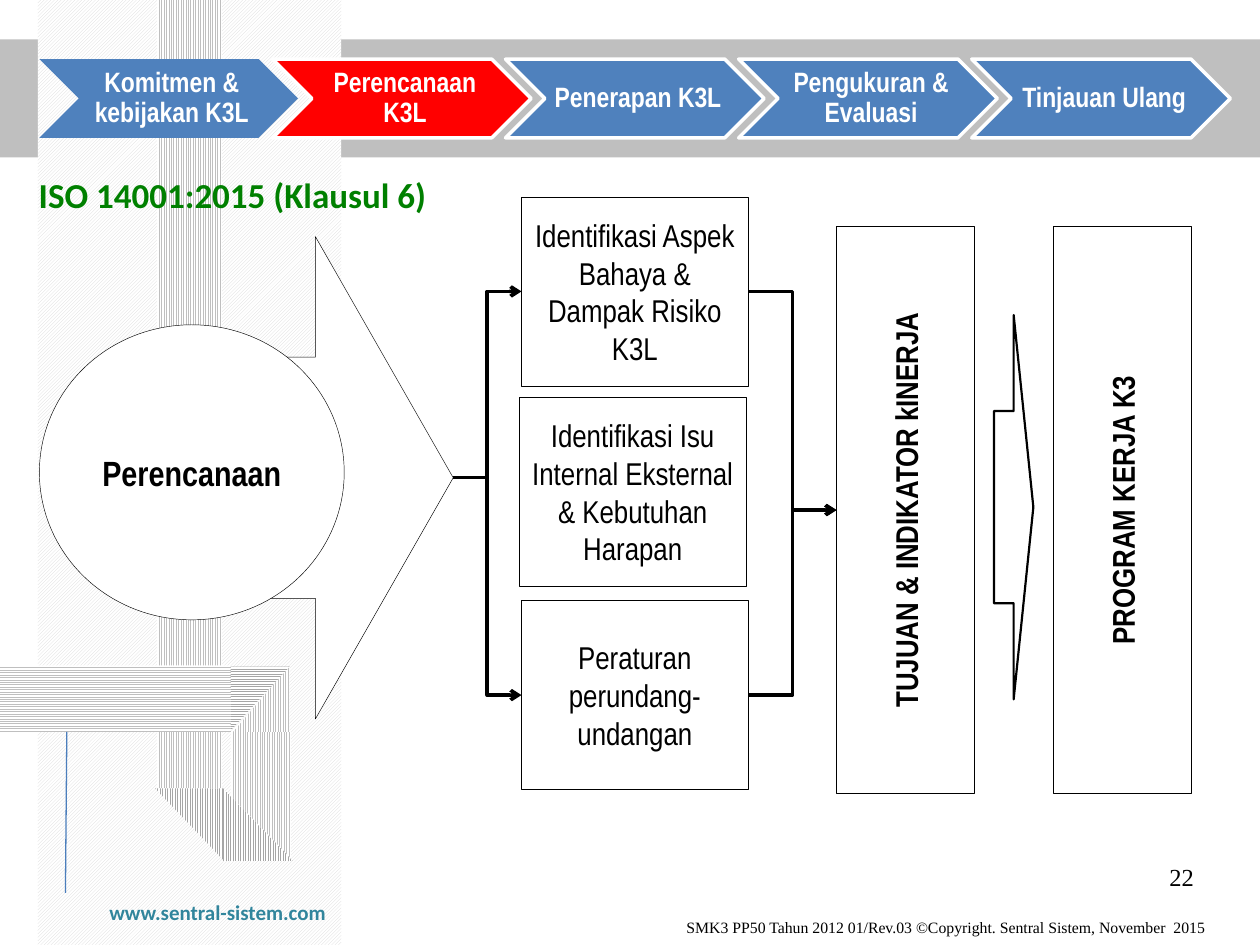
from lxml import etree
from pptx import Presentation
from pptx.dml.color import RGBColor
from pptx.enum import dml, shapes, text
from pptx.oxml.ns import qn
from pptx.util import Pt

C = {"black": "000000", "white": "FFFFFF", "blue": "4F81BD", "red": "FF0000",
     "rule": "4B7EBC", "teal": "31859C", "green": "008000",
     "pale": "D9D9D9", "mid": "BFBFBF", "dark": "A6A6A6"}
rgb = {name: RGBColor.from_string(value) for name, value in C.items()}
M, P, A = shapes.MSO_SHAPE, dml.MSO_PATTERN, text.PP_ALIGN

prs = Presentation()
prs.slide_width, prs.slide_height = Pt(720), Pt(540)
slide = prs.slides.add_slide(prs.slide_layouts[6])


def add_box(kind, box, fill=None, line=None, width=0.25):
    s = slide.shapes.add_shape(kind, *[Pt(v) for v in box])
    s.shadow.inherit = False
    if fill:
        s.fill.solid()
        s.fill.fore_color.rgb = rgb[fill]
    else:
        s.fill.background()
    if line:
        s.line.color.rgb = rgb[line]
        s.line.width = Pt(width)
    else:
        s.line.fill.background()
    return s


def write(s, words, size, font="Arial Narrow", color="black", bold=False, align=A.CENTER):
    tf = s.text_frame
    tf.text = words
    tf.word_wrap = True
    p = tf.paragraphs[0]
    p.alignment = align
    r = p.runs[0]
    r.font.size, r.font.name, r.font.bold = Pt(size), font, bold
    r.font.color.rgb = rgb[color]
    return tf


band = add_box(M.RECTANGLE, (0, 22.5, 720, 67.5), "black")
clr = band.fill._xPr.find(qn("a:solidFill"))[0]
etree.SubElement(clr, qn("a:alpha")).set("val", "25000")

diagonal, vertical, horizontal = P.LIGHT_UPWARD_DIAGONAL, P.NARROW_VERTICAL, P.NARROW_HORIZONTAL
ribbons = [
    (M.RECTANGLE, (21.6, 0, 173.4, 540), diagonal, "pale", "", 0),
    (M.RECTANGLE, (89.6, 0, 37.2, 450.5), vertical, "mid", "", 0),
    (M.RIGHT_TRIANGLE, (88.6, 450.5, 39.5, 41.5), vertical, "dark", "HV", 0),
    (M.RECTANGLE, (131.8, 418.3, 34.5, 73.5), vertical, "mid", "", 0),
    (M.RIGHT_TRIANGLE, (127.5, 450.5, 40, 41.5), vertical, "dark", "", 0),
    (M.RIGHT_TRIANGLE, (133.2, 380.2, 32.4, 38.1), vertical, "mid", "H", 0),
    (M.RIGHT_TRIANGLE, (129.6, 382.3, 37.4, 34.6), horizontal, "dark", "", 90),
    (M.RECTANGLE, (0, 380.2, 131.8, 38.1), horizontal, "mid", "", 0),
]
for kind, box, pattern, color, flips, angle in ribbons:
    s = add_box(kind, box)
    s.fill.patterned()
    s.fill.pattern = pattern
    s.fill.fore_color.rgb = rgb[color]
    s.fill.back_color.rgb = rgb["white"]
    s.rotation = angle
    for flip in flips:
        s._element.spPr.find(qn("a:xfrm")).set("flip" + flip, "1")

steps = ["Komitmen & kebijakan K3L", "Perencanaan K3L", "Penerapan K3L",
         "Pengukuran & Evaluasi", "Tinjauan Ulang"]
for i, step in enumerate(steps):
    s = add_box(M.CHEVRON, (22.5 + 133.2 * i, 33.8, 147.8, 45),
                "red" if i == 1 else "blue", "white" if i else None, 2)
    tf = write(s, step, 16, color="white", bold=True)
    tf.vertical_anchor = text.MSO_ANCHOR.MIDDLE
    tf.margin_left = Pt(5)
    tf.margin_right = tf.margin_top = tf.margin_bottom = Pt(1.4)
    tf.paragraphs[0].line_spacing = 0.9

add_box(M.RIGHT_ARROW, (101.5, 135.2, 157.5, 275.6), "white", "black")
add_box(M.RIGHT_ARROW, (568, 180, 22.5, 219.6), None, "black", 1.25)

nodes = [
    (M.OVAL, (22.5, 185.6, 174.2, 168.6), "Perencanaan", 20, True, False),
    (M.RECTANGLE, (298, 112.6, 129.6, 108), "Identifikasi Aspek Bahaya & Dampak Risiko K3L", 18, False, False),
    (M.RECTANGLE, (296.8, 227, 129.6, 108), "Identifikasi Isu Internal Eksternal & Kebutuhan Harapan", 18, False, False),
    (M.RECTANGLE, (298, 343.2, 129.6, 108), "Peraturan perundang-undangan", 18, False, False),
    (M.RECTANGLE, (478, 129.5, 78.8, 324), "TUJUAN & INDIKATOR kINERJA", 18, True, True),
    (M.RECTANGLE, (602, 129.5, 78.8, 324), "PROGRAM KERJA K3", 18, True, True),
]
for kind, box, words, size, bold, upright in nodes:
    s = add_box(kind, box, "white", "black")
    tf = write(s, words, size, bold=bold)
    tf.vertical_anchor = text.MSO_ANCHOR.MIDDLE
    if upright:
        tf._txBody.bodyPr.set("vert", "vert270")

elbow, straight = shapes.MSO_CONNECTOR.ELBOW, shapes.MSO_CONNECTOR.STRAIGHT
links = [
    (elbow, (258.8, 273, 298, 166.6), "black", 2),
    (elbow, (258.8, 273, 298, 397.2), "black", 2),
    (elbow, (427.6, 166.6, 478, 291.5), "black", 2),
    (elbow, (427.6, 397.2, 478, 291.5), "black", 2),
    (straight, (37.4, 510.2, 38.2, 418.3), "rule", 0.75),
]
for kind, ends, color, width in links:
    s = slide.shapes.add_connector(kind, *[Pt(v) for v in ends])
    s.line.color.rgb = rgb[color]
    s.line.width = Pt(width)
    if kind == elbow:
        etree.SubElement(s.line._get_or_add_ln(), qn("a:tailEnd")).set("type", "arrow")
    etree.SubElement(s._element.spPr, qn("a:effectLst"))

top, middle = text.MSO_ANCHOR.TOP, text.MSO_ANCHOR.MIDDLE
labels = [
    ((0, 95.8, 266, 31.5), "ISO 14001:2015 (Klausul 6)", 20, "Calibri", "green", True, A.CENTER, top),
    ((55.4, 510.4, 139.7, 21.8), "www.sentral-sistem.com", 12, "Calibri", "teal", True, A.LEFT, top),
    ((371.5, 524.2, 324, 10.8), "SMK3 PP50 Tahun 2012 01/Rev.03 ©Copyright. Sentral Sistem, November  2015",
     9, "Times New Roman", "black", False, A.RIGHT, middle),
    ((655, 488.9, 40.5, 28.8), "22", 14, "Times New Roman", "black", False, A.CENTER, top),
]
for box, words, size, font, color, bold, align, anchor in labels:
    s = slide.shapes.add_textbox(*[Pt(v) for v in box])
    tf = write(s, words, size, font, color, bold, align)
    tf.vertical_anchor = anchor

prs.save("out.pptx")
